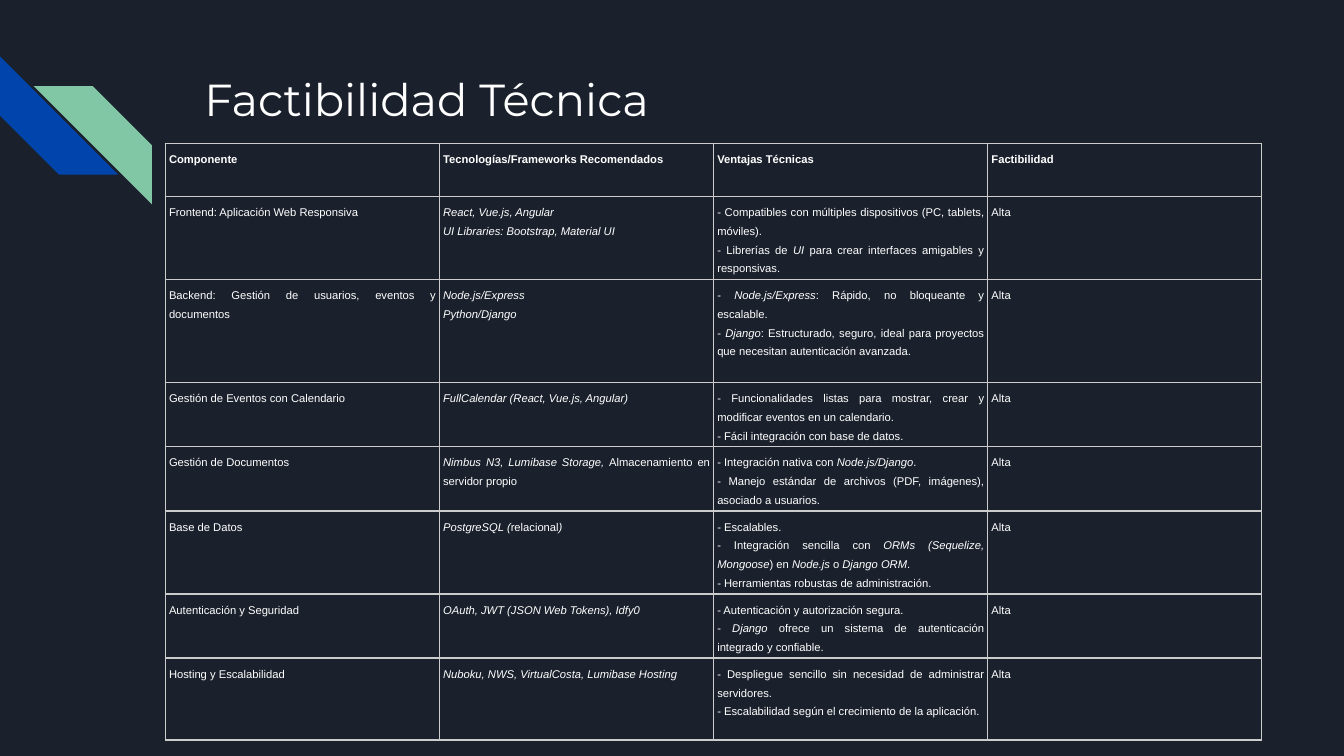
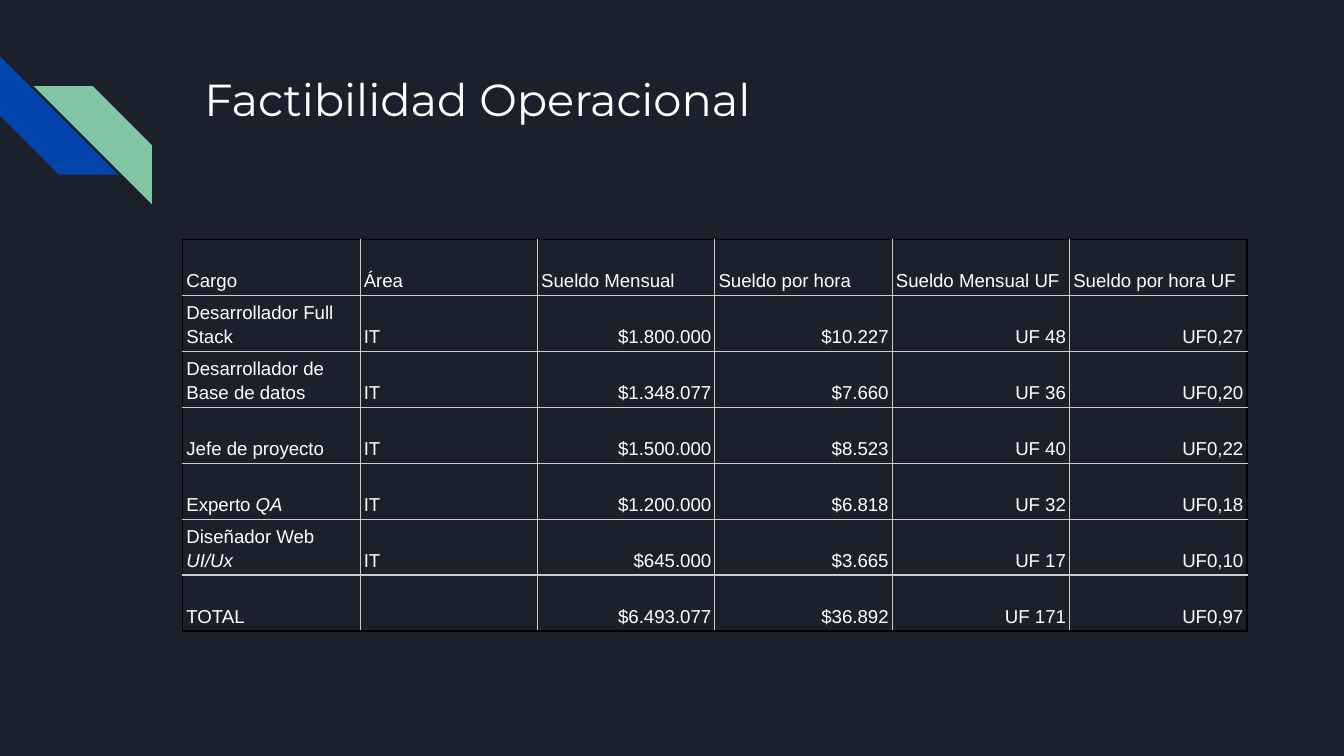
from lxml.etree import SubElement
from pptx import Presentation
from pptx.dml.color import RGBColor
from pptx.enum.shapes import MSO_SHAPE
from pptx.enum.text import MSO_ANCHOR, PP_ALIGN
from pptx.oxml import parse_xml
from pptx.oxml.ns import nsdecls, qn
from pptx.util import Inches, Pt

COLORS = {"bg": "1B212C", "blue": "0145AC", "green": "82C7A5",
          "text": "FFFFFF", "grid": "CCCCCC", "edge": "000000"}

# Cell text: *...* is italic, a line break starts a new paragraph
tech_rows = [
    ["Componente", "Tecnologías/Frameworks Recomendados", "Ventajas Técnicas", "Factibilidad"],
    ["Frontend: Aplicación Web Responsiva",
     "*React, Vue.js, Angular*\n*UI Libraries: Bootstrap, Material UI*",
     "- Compatibles con múltiples dispositivos (PC, tablets, móviles).\n"
     "- Librerías de *UI* para crear interfaces amigables y responsivas.", "Alta"],
    ["Backend: Gestión de usuarios, eventos y documentos",
     "*Node.js/Express*\n*Python/Django*",
     "- *Node.js/Express*: Rápido, no bloqueante y escalable.\n"
     "- *Django*: Estructurado, seguro, ideal para proyectos que necesitan "
     "autenticación avanzada.", "Alta"],
    ["Gestión de Eventos con Calendario", "*FullCalendar (React, Vue.js, Angular)*",
     "- Funcionalidades listas para mostrar, crear y modificar eventos en un calendario.\n"
     "- Fácil integración con base de datos.", "Alta"],
    ["Gestión de Documentos",
     "*Nimbus N3, Lumibase Storage, *Almacenamiento en servidor propio",
     "- Integración nativa con *Node.js/Django*.\n"
     "- Manejo estándar de archivos (PDF, imágenes), asociado a usuarios.", "Alta"],
    ["Base de Datos", "*PostgreSQL (*relacional*)*",
     "- Escalables.\n"
     "- Integración sencilla con *ORMs (Sequelize, Mongoose*) en *Node.js* o *Django ORM*.\n"
     "- Herramientas robustas de administración.", "Alta"],
    ["Autenticación y Seguridad", "*OAuth, JWT (JSON Web Tokens), Idfy0*",
     "- Autenticación y autorización segura.\n"
     "- *Django* ofrece un sistema de autenticación integrado y confiable.", "Alta"],
    ["Hosting y Escalabilidad", "*Nuboku, NWS, VirtualCosta, Lumibase Hosting*",
     "- Despliegue sencillo sin necesidad de administrar servidores.\n"
     "- Escalabilidad según el crecimiento de la aplicación.", "Alta"],
]
salary_rows = [
    ["Cargo", "Área", "Sueldo Mensual", "Sueldo por hora", "Sueldo Mensual UF",
     "Sueldo por hora UF"],
    ["Desarrollador Full Stack", "IT", "$1.800.000", "$10.227", "UF 48", "UF0,27"],
    ["Desarrollador de Base de datos", "IT", "$1.348.077", "$7.660", "UF 36", "UF0,20"],
    ["Jefe de proyecto", "IT", "$1.500.000", "$8.523", "UF 40", "UF0,22"],
    ["Experto *QA*", "IT", "$1.200.000", "$6.818", "UF 32", "UF0,18"],
    ["Diseñador Web *UI/Ux*", "IT", "$645.000", "$3.665", "UF 17", "UF0,10"],
    ["TOTAL", "", "$6.493.077", "$36.892", "UF 171", "UF0,97"],
]

slides = [
    {"title": "Factibilidad Técnica", "rows": tech_rows, "at": (1.23, 1.07),
     "col": 2.04, "heights": [0.39, 0.61, 0.77, 0.46, 0.46, 0.61, 0.46, 0.61],
     "size": 6, "spacing": 1.5, "anchor": MSO_ANCHOR.TOP, "edge": "grid",
     "bold_header": True, "highlight": None, "align": [PP_ALIGN.JUSTIFY] * 4},
    {"title": "Factibilidad Operacional", "rows": salary_rows, "at": (1.36, 1.78),
     "col": 1.32, "heights": [5 / 12] * 7,
     "size": 10, "spacing": 1.15, "anchor": MSO_ANCHOR.BOTTOM, "edge": "edge",
     "bold_header": False, "highlight": "bg",
     "align": [PP_ALIGN.LEFT] * 2 + [PP_ALIGN.RIGHT] * 4},
]
stripes = [{"at": (0, 0.42), "color": "blue", "rotation": 270, "flip": False},
           {"at": (0.25, 0.64), "color": "green", "rotation": 0, "flip": True}]


def add_run(p, text, font, size, highlight=None, **fmt):
    r = p.add_run()
    r.text = text
    r.font.color.rgb = RGBColor.from_string(COLORS["text"])
    if highlight:
        mark = parse_xml(f'<a:highlight {nsdecls("a")}/>')
        SubElement(mark, qn("a:srgbClr"), val=COLORS[highlight])
        r.font._element.find(qn("a:solidFill")).addnext(mark)
    for name, value in {"name": font, "size": Pt(size), **fmt}.items():
        setattr(r.font, name, value)


def set_borders(cell, sides):
    tcPr = cell._tc.get_or_add_tcPr()
    for i, (side, color) in enumerate(sides.items()):
        ln = parse_xml(f'<a:ln{side} {nsdecls("a")} w="9525"/>')
        fill = SubElement(ln, qn("a:solidFill"))
        SubElement(fill, qn("a:srgbClr"), val=COLORS[color])
        tcPr.insert(i, ln)


# 16:9 page
prs = Presentation()
prs.slide_width = Inches(10)
prs.slide_height = Inches(10 * 9 / 16)

# Shared background
bg = prs.slide_master.background.fill
bg.solid()
bg.fore_color.rgb = RGBColor.from_string(COLORS["bg"])

for data in slides:
    s = prs.slides.add_slide(prs.slide_layouts[5])

    # Corner stripes
    for stripe in stripes:
        left, top = stripe["at"]
        sp = s.shapes.add_shape(MSO_SHAPE.DIAGONAL_STRIPE, Inches(left), Inches(top),
                                Inches(0.88), Inches(0.88))
        sp.shadow.inherit = False
        sp.fill.solid()
        sp.fill.fore_color.rgb = RGBColor.from_string(COLORS[stripe["color"]])
        sp.line.fill.background()
        sp.rotation = stripe["rotation"]
        if stripe["flip"]:
            sp._element.spPr.get_or_add_xfrm().set("flipH", "1")

    # Title
    title = s.shapes.title
    box = {"left": 1.42, "top": 0.43, "width": 7.7, "height": 1}
    for name, value in box.items():
        setattr(title, name, Inches(value))
    tf = title.text_frame
    tf.word_wrap = True
    tf.vertical_anchor = MSO_ANCHOR.TOP
    for side in ("left", "top", "right", "bottom"):
        setattr(tf, f"margin_{side}", Inches(0.1))
    p = tf.paragraphs[0]
    p.alignment = PP_ALIGN.LEFT
    add_run(p, data["title"], "Montserrat", 24)

    # Table
    rows = data["rows"]
    n_rows, n_cols = len(rows), len(rows[0])
    left, top = data["at"]
    table = s.shapes.add_table(n_rows, n_cols, Inches(left), Inches(top),
                               Inches(data["col"] * n_cols),
                               Inches(sum(data["heights"]))).table
    table.first_row = table.horz_banding = False
    for column in table.columns:
        column.width = Inches(data["col"])
    for row, height in zip(table.rows, data["heights"]):
        row.height = Inches(height)

    for i, row in enumerate(rows):
        for j, text in enumerate(row):
            cell = table.cell(i, j)
            cell.fill.background()
            cell.vertical_anchor = data["anchor"]
            for side in ("left", "top", "right", "bottom"):
                setattr(cell, f"margin_{side}", Pt(2))
            outer = {"L": j == 0, "R": j == n_cols - 1, "T": i == 0, "B": i == n_rows - 1}
            set_borders(cell, {side: data["edge"] if is_outer else "grid"
                               for side, is_outer in outer.items()})

            # Header cells take the alignment of the first column
            align = data["align"][0] if i == 0 else data["align"][j]
            for k, line in enumerate(text.split("\n")):
                tf = cell.text_frame
                p = tf.add_paragraph() if k else tf.paragraphs[0]
                p.alignment = align
                p.line_spacing = data["spacing"]
                for n, part in enumerate(line.split("*")):
                    if part:
                        add_run(p, part, "Arial", data["size"], data["highlight"],
                                italic=n % 2 == 1,
                                bold=data["bold_header"] and i == 0)

prs.save("out.pptx")
